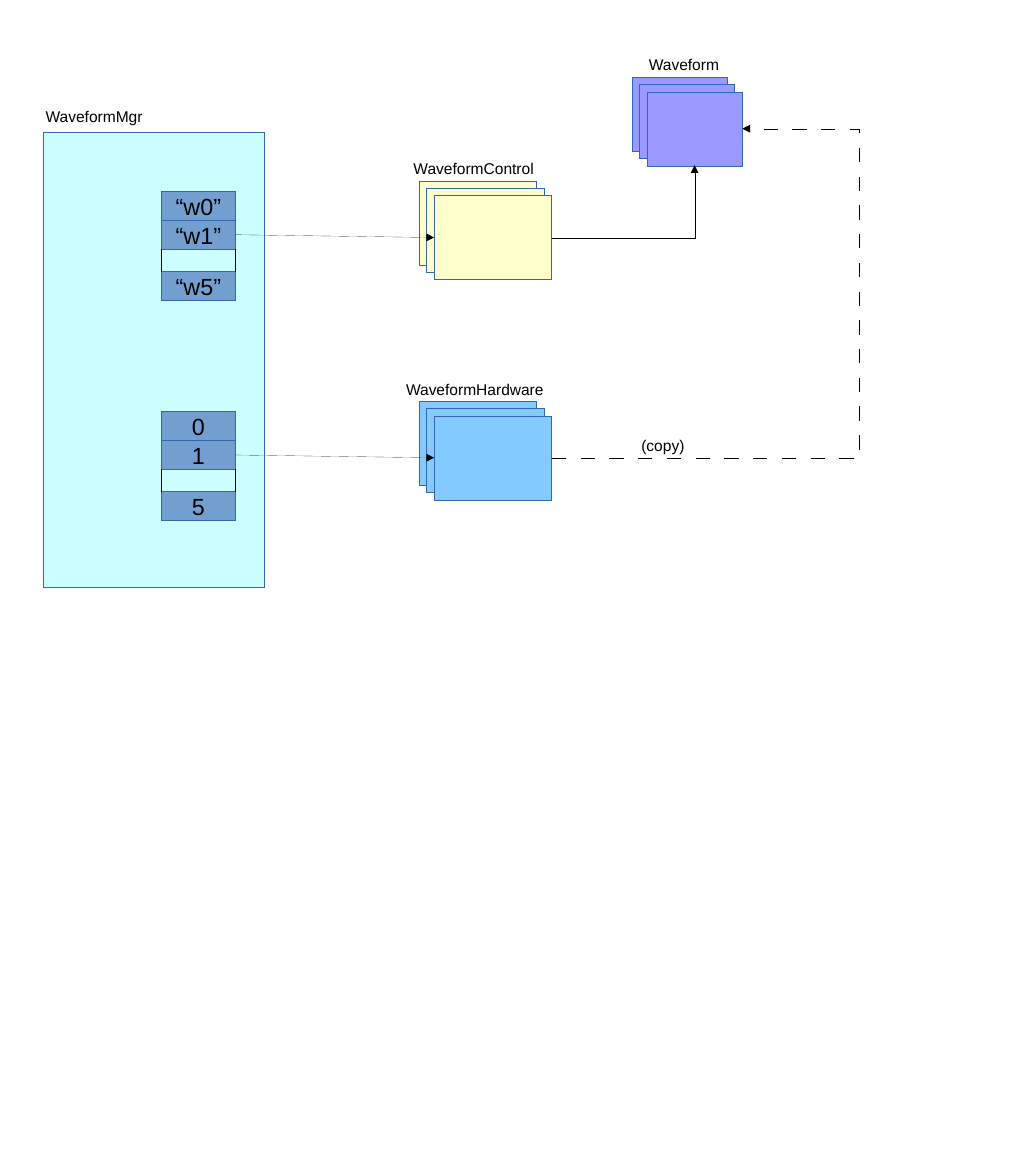
from dataclasses import dataclass
from typing import Optional

from lxml.etree import SubElement
from pptx import Presentation
from pptx.dml.color import RGBColor
from pptx.enum.dml import MSO_LINE
from pptx.enum.shapes import MSO_CONNECTOR as Route, MSO_SHAPE as Preset
from pptx.enum.text import MSO_ANCHOR as Anchor, MSO_AUTO_SIZE as AutoSize, PP_ALIGN as Align
from pptx.oxml.ns import qn
from pptx.util import Inches, Pt

BLACK = RGBColor(0x00, 0x00, 0x00)
OUTLINE = RGBColor(0x34, 0x65, 0xAF)
MANAGER = RGBColor(0xCC, 0xFF, 0xFF)
CELL = RGBColor(0x72, 0x9F, 0xCF)
YELLOW = RGBColor(0xFF, 0xFF, 0xCC)
PURPLE = RGBColor(0x99, 0x99, 0xFF)
BLUE = RGBColor(0x83, 0xCA, 0xFF)

STACK_STEP = 0.08
CELL_LEFT, CELL_WIDTH, CELL_HEIGHT = 1.73, 0.79, 0.31
CELL_RIGHT = CELL_LEFT + CELL_WIDTH
LAST_CELL = 0.86
LONG_DASH = "1451000"

Point = tuple[float, float]


@dataclass
class Stack:
    left: float
    top: float
    width: float
    height: float
    color: RGBColor


@dataclass
class Label:
    text: str
    left: float
    top: float
    width: float


@dataclass
class KeyList:
    top: float
    keys: tuple[str, str, str]


STACKS = [
    Stack(4.49, 1.94, 1.26, 0.9, YELLOW),
    Stack(6.77, 0.83, 1.02, 0.79, PURPLE),
    Stack(4.49, 4.3, 1.26, 0.9, BLUE),
]
LABELS = [
    Label("WaveformControl", 4.33, 1.65, 1.49),
    Label("Waveform", 6.85, 0.54, 0.95),
    Label("WaveformHardware", 4.25, 4.02, 1.72),
    Label("WaveformMgr", 0.39, 1.1, 1.24),
    Label("(copy)", 6.77, 4.62, 0.66),
]
KEY_LISTS = [
    KeyList(2.05, ("“w0”", "“w1”", "“w5”")),
    KeyList(4.41, ("0", "1", "5")),
]


def write(shape, text: str, *, size: int, align: Align, anchor: Anchor) -> None:
    frame = shape.text_frame
    frame.word_wrap = False
    frame.vertical_anchor = anchor
    para = frame.paragraphs[0]
    para.alignment = align
    span = para.add_run()
    span.text = text
    span.font.name, span.font.size = "Arial", Pt(size)
    span.font.color.rgb = BLACK


def draw_hairline(shape, color: RGBColor):
    """Give the shape the thinnest line; a zero width must be written out in the XML."""
    shape.line.color.rgb = color
    stroke = shape._element.spPr.find(qn("a:ln"))
    stroke.set("w", "0")
    return stroke


def add_rectangle(page, left: float, top: float, width: float, height: float, color: RGBColor):
    box = page.shapes.add_shape(
        Preset.RECTANGLE, Inches(left), Inches(top), Inches(width), Inches(height))
    box.shadow.inherit = False
    box.fill.solid()
    box.fill.fore_color.rgb = color
    draw_hairline(box, OUTLINE)
    return box


def add_line(page, start: Point, end: Point, *, route: Route = Route.STRAIGHT,
             dash: Optional[MSO_LINE] = None, long_dash: bool = False, arrow: bool = True):
    line = page.shapes.add_connector(route, *(Inches(value) for value in (*start, *end)))
    stroke = draw_hairline(line, BLACK)
    if dash is not None:
        line.line.dash_style = dash
    if long_dash:
        pattern = SubElement(stroke, qn("a:custDash"))
        SubElement(pattern, qn("a:ds"), d=LONG_DASH, sp=LONG_DASH)
    if arrow:
        SubElement(stroke, qn("a:tailEnd"), type="triangle")
    SubElement(line._element.spPr, qn("a:effectLst"))
    return line


def add_stack(page, stack: Stack) -> None:
    for layer in range(3):
        shift = layer * STACK_STEP
        add_rectangle(page, stack.left + shift, stack.top + shift,
                      stack.width, stack.height, stack.color)


def add_label(page, label: Label) -> None:
    box = page.shapes.add_textbox(
        Inches(label.left), Inches(label.top), Inches(label.width), Inches(0.29))
    write(box, label.text, size=12, align=Align.LEFT, anchor=Anchor.TOP)
    box.text_frame.auto_size = AutoSize.SHAPE_TO_FIT_TEXT


def add_key_list(page, key_list: KeyList) -> None:
    for key, offset in zip(key_list.keys, (0, CELL_HEIGHT, LAST_CELL)):
        cell = add_rectangle(
            page, CELL_LEFT, key_list.top + offset, CELL_WIDTH, CELL_HEIGHT, CELL)
        write(cell, key, size=18, align=Align.CENTER, anchor=Anchor.MIDDLE)
    for side in (CELL_LEFT, CELL_RIGHT):
        add_line(page, (side, key_list.top + 2 * CELL_HEIGHT), (side, key_list.top + LAST_CELL),
                 dash=MSO_LINE.SQUARE_DOT, arrow=False)
    # Arrow from the second key to its object
    middle = key_list.top + 1.5 * CELL_HEIGHT
    add_line(page, (CELL_RIGHT, middle), (4.65, middle + 0.03))


def add_elbows(page) -> None:
    use = add_line(page, (5.91, 2.55), (7.44, 1.77), route=Route.ELBOW)
    use._element.spPr.find(qn("a:prstGeom")).set("prst", "bentConnector2")

    # The copy route runs out to the right of the waveforms and back
    copy_route = add_line(page, (5.91, 4.91), (7.95, 1.38), route=Route.ELBOW, long_dash=True)
    geometry = copy_route._element.spPr.find(qn("a:prstGeom"))
    adjustments = geometry.find(qn("a:avLst"))
    if adjustments is None:
        adjustments = SubElement(geometry, qn("a:avLst"))
    SubElement(adjustments, qn("a:gd"), name="adj1", fmla="val 161500")


def main() -> None:
    deck = Presentation()
    deck.slide_width, deck.slide_height = Inches(11.02), Inches(12.6)
    page = deck.slides.add_slide(deck.slide_layouts[6])

    # Manager and object stacks
    add_rectangle(page, 0.47, 1.42, 2.36, 4.88, MANAGER)
    for stack in STACKS:
        add_stack(page, stack)

    # Key lists, routes and captions
    for key_list in KEY_LISTS:
        add_key_list(page, key_list)
    add_elbows(page)
    for label in LABELS:
        add_label(page, label)

    deck.save("out.pptx")


if __name__ == "__main__":
    main()
